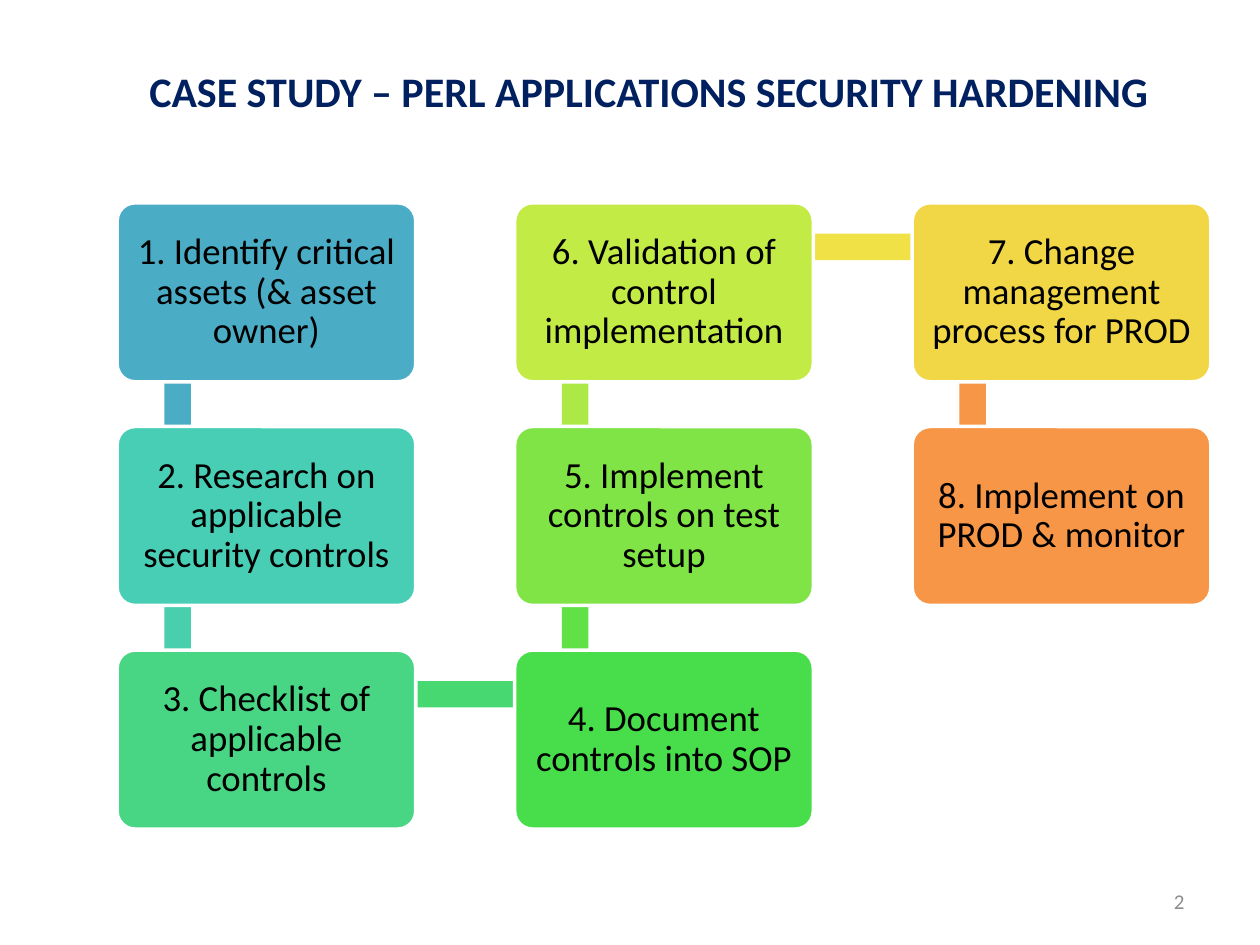
from pptx import Presentation
from pptx.dml.color import RGBColor
from pptx.enum.shapes import MSO_SHAPE
from pptx.enum.text import MSO_ANCHOR, PP_ALIGN
from pptx.util import Inches, Pt

RECTANGLE, ROUNDED = MSO_SHAPE.RECTANGLE, MSO_SHAPE.ROUNDED_RECTANGLE
MIDDLE = MSO_ANCHOR.MIDDLE
CENTER, RIGHT = PP_ALIGN.CENTER, PP_ALIGN.RIGHT

COLORS = {"title": "002060", "text": "000000", "number": "8C8C8C", "outline": "FFFFFF"}
TITLE = "CASE STUDY – PERL APPLICATIONS SECURITY HARDENING"
PAGE_NUMBER = "2"

# Text, column, row, box colour, colour of the bar to the next step
STEPS = [
    ("1. Identify critical assets (& asset owner)", 0, 0, "4BACC6", "4BACC6"),
    ("2. Research on applicable security controls", 0, 1, "49CEB6", "49CFAE"),
    ("3. Checklist of applicable controls", 0, 2, "48D684", "47D872"),
    ("4. Document controls into SOP", 1, 2, "47DD4B", "60E146"),
    ("5. Implement controls on test setup", 1, 1, "80E446", "ACE946"),
    ("6. Validation of control implementation", 1, 0, "C3EB46", "F0E146"),
    ("7. Change management process for PROD", 2, 0, "F1D746", "F79646"),
    ("8. Implement on PROD & monitor", 2, 1, "F79646", None),
]

GRID_LEFT, GRID_TOP = 0.93, 1.61
COLUMN_STEP, ROW_STEP = 3.155, 1.775
BOX_WIDTH, BOX_HEIGHT = 2.37, 1.42
JOINT_X, JOINT_Y = 0.48, 0.35  # where bars meet, measured from a box corner
BAR_THICKNESS = 0.21


def box_corner(column, row):
    return GRID_LEFT + column * COLUMN_STEP, GRID_TOP + row * ROW_STEP


def write(shape, text, size, color, alignment=CENTER, bold=False, margin=None, spacing=None):
    frame = shape.text_frame
    frame.word_wrap = True
    frame.vertical_anchor = MIDDLE
    if margin is not None:
        for side in ("left", "right", "top", "bottom"):
            setattr(frame, f"margin_{side}", Inches(margin))
    paragraph = frame.paragraphs[0]
    paragraph.text = text
    paragraph.alignment = alignment
    paragraph.line_spacing = spacing
    font_format = {"name": "Calibri", "size": Pt(size), "bold": bold}
    for name, value in font_format.items():
        setattr(paragraph.font, name, value)
    paragraph.font.color.rgb = RGBColor.from_string(color)


def add_block(slide, kind, left, top, width, height, fill):
    shape = slide.shapes.add_shape(kind, *map(Inches, (left, top, width, height)))
    shape.shadow.inherit = False
    shape.fill.solid()
    shape.fill.fore_color.rgb = RGBColor.from_string(fill)
    shape.line.fill.background()
    return shape


def add_bar(slide, start, end, fill):
    """Join two neighbouring boxes, given their top left corners."""
    left, top = min(start[0], end[0]) + JOINT_X, min(start[1], end[1]) + JOINT_Y
    width, height = abs(end[0] - start[0]), abs(end[1] - start[1])
    if width > height:
        top, height = top - BAR_THICKNESS / 2, BAR_THICKNESS
    else:
        left, width = left - BAR_THICKNESS / 2, BAR_THICKNESS
    add_block(slide, RECTANGLE, left, top, width, height, fill)


def add_step(slide, text, corner, fill):
    box = add_block(slide, ROUNDED, *corner, BOX_WIDTH, BOX_HEIGHT, fill)
    box.adjustments[0] = 0.1
    box.line.color.rgb = RGBColor.from_string(COLORS["outline"])
    box.line.width = Pt(2)
    write(box, text, 21, COLORS["text"], margin=0.09, spacing=0.9)


def main():
    presentation = Presentation()
    presentation.slide_width, presentation.slide_height = Inches(10), Inches(7.5)
    slide = presentation.slides.add_slide(presentation.slide_layouts[6])

    number = slide.shapes.add_textbox(*map(Inches, (7.17, 6.95, 2.33, 0.4)))
    write(number, PAGE_NUMBER, 12, COLORS["number"], alignment=RIGHT)

    corners = [box_corner(column, row) for _, column, row, _, _ in STEPS]
    for index, (text, _, _, fill, bar_fill) in enumerate(STEPS):
        if bar_fill:
            add_bar(slide, corners[index], corners[index + 1], bar_fill)
        add_step(slide, text, corners[index], fill)

    title = slide.shapes.add_textbox(*map(Inches, (0.65, 0.23, 9, 0.98)))
    write(title, TITLE, 24, COLORS["title"], bold=True)

    presentation.save("out.pptx")


if __name__ == "__main__":
    main()
